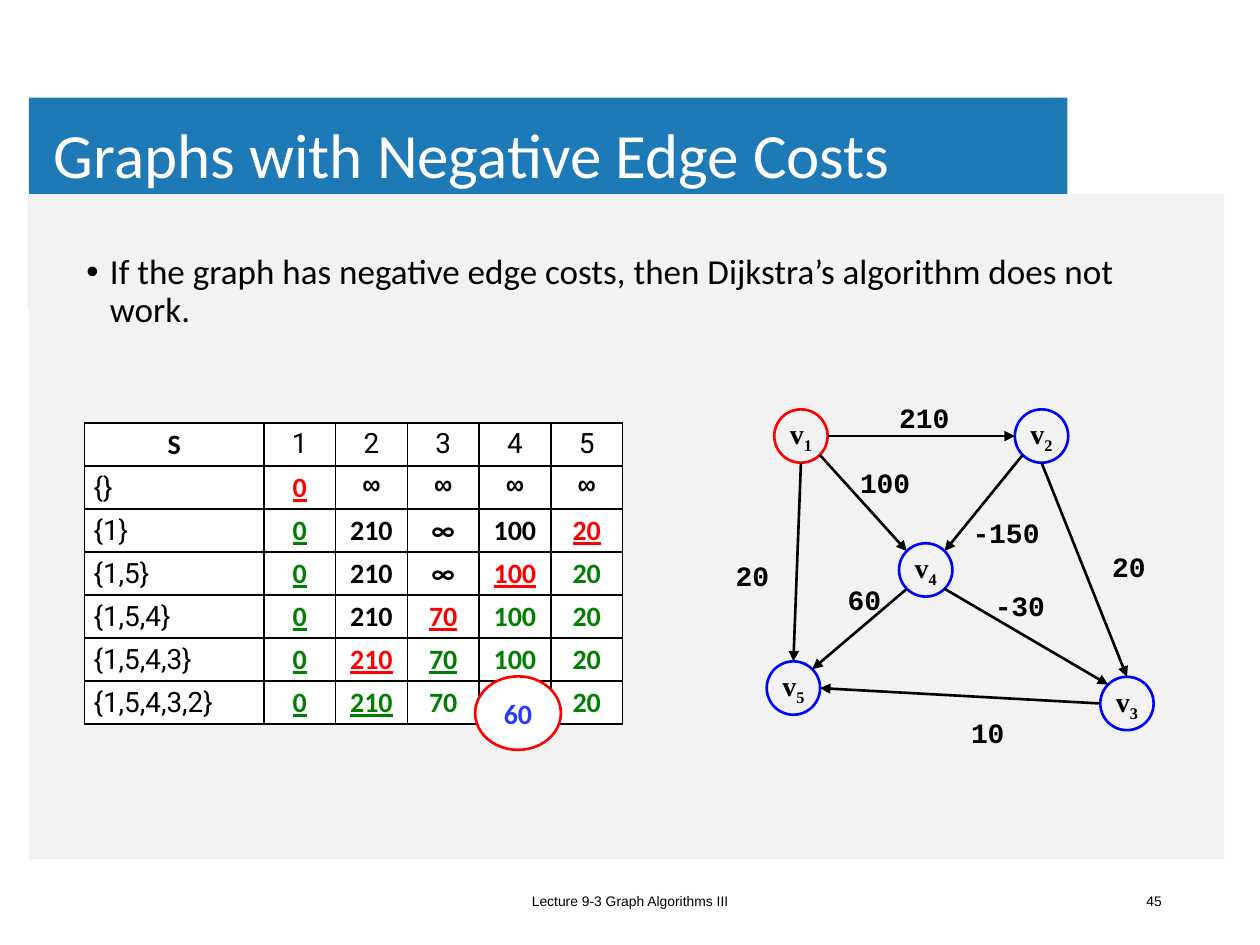
from math import cos, radians, sin

from lxml.etree import SubElement
from pptx import Presentation
from pptx.dml.color import RGBColor
from pptx.enum.shapes import MSO_CONNECTOR, MSO_SHAPE
from pptx.enum.text import MSO_ANCHOR, PP_ALIGN
from pptx.oxml.ns import qn
from pptx.util import Pt

BLACK = RGBColor(0, 0, 0)
WHITE = RGBColor(255, 255, 255)
RED = RGBColor(255, 0, 0)
GREEN = RGBColor(0, 0x80, 0)
BLUE = RGBColor(0, 0, 255)
ANSWER_BLUE = RGBColor(0x26, 0x3A, 0xF8)
BANNER_BLUE = RGBColor(0x1E, 0x7A, 0xB6)
PANEL_GREY = RGBColor(0xF2, 0xF2, 0xF2)

TITLE = "Graphs with Negative Edge Costs"
CLAIM = "If the graph has negative edge costs, then Dijkstra’s algorithm does not work."
FOOTER = "Lecture 9-3 Graph Algorithms III"
PAGE = "45"
CORRECT_COST = "60"

PANELS = [((16.5, 55.8, 593.5, 120), BANNER_BLUE), ((16.5, 111, 683, 380), PANEL_GREY)]

DIAMETER = 30.5
NODES = {
    "1": (457.7, 249.2, RED),
    "2": (595.2, 249.2, BLUE),
    "3": (644, 402, BLUE),
    "4": (529, 325.7, BLUE),
    "5": (453.4, 393.2, BLUE),
}
EDGES = [
    ("1", 0, "2", 180),
    ("2", 90, "3", 270),
    ("1", 45, "4", 225),
    ("2", 135, "4", 315),
    ("1", 90, "5", 270),
    ("4", 135, "5", 315),
    ("3", 180, "5", 0),
    ("4", 45, "3", 225),
]
COSTS = [
    ("20", 430, 328.7),
    ("100", 505.8, 275.4),
    ("210", 528.1, 238.7),
    ("20", 645.1, 323.6),
    ("-150", 574.9, 304.2),
    ("60", 494, 342.4),
    ("10", 564.5, 418.7),
    ("-30", 582.8, 346),
]

STYLES = {
    "plain": dict(name="Roboto", bold=False),
    "open": dict(),
    "infinite": dict(name="Courier New"),
    "chosen": dict(color=RED, underline=True),
    "source": dict(color=GREEN, underline=True),
    "done": dict(color=GREEN),
}
ZERO = ("0", "source")
FAR = ("∞", "infinite")
DISTANCES = [
    [("S", "open")] + [(vertex, "plain") for vertex in "12345"],
    [("{}", "plain"), ("0", "chosen"), FAR, FAR, FAR, FAR],
    [("{1}", "plain"), ZERO, ("210", "open"), ("∞", "open"), ("100", "open"), ("20", "chosen")],
    [("{1,5}", "plain"), ZERO, ("210", "open"), ("∞", "open"), ("100", "chosen"), ("20", "done")],
    [("{1,5,4}", "plain"), ZERO, ("210", "open"), ("70", "chosen"), ("100", "done"), ("20", "done")],
    [("{1,5,4,3}", "plain"), ZERO, ("210", "chosen"), ("70", "source"), ("100", "done"), ("20", "done")],
    [("{1,5,4,3,2}", "plain"), ZERO, ("210", "source"), ("70", "done"), ("100", "done"), ("20", "done")],
]
COLUMN_WIDTHS = [102.5] + [41] * 5
ROW_HEIGHT = 24.6


def lengths(values):
    return [Pt(value) for value in values]


def add_run(paragraph, words, size, name="Calibri", color=BLACK, **formats):
    run = paragraph.add_run()
    run.text = words
    for key, value in dict(size=Pt(size), name=name, **formats).items():
        setattr(run.font, key, value)
    run.font.color.rgb = color
    return run


def prepare(holder, align, anchor=MSO_ANCHOR.MIDDLE, wrap=True):
    holder.text_frame.word_wrap = wrap
    holder.text_frame.vertical_anchor = anchor
    paragraph = holder.text_frame.paragraphs[0]
    paragraph.alignment = align
    return paragraph


def add_text(slide, box, words, size, align=PP_ALIGN.LEFT, anchor=MSO_ANCHOR.MIDDLE, **formats):
    holder = slide.shapes.add_textbox(*lengths(box))
    paragraph = prepare(holder, align, anchor)
    add_run(paragraph, words, size, **formats)
    return holder, paragraph


def add_preset(slide, preset, box, fill=None, line=None):
    shape = slide.shapes.add_shape(preset, *lengths(box))
    shape.shadow.inherit = False
    if fill is None:
        shape.fill.background()
    else:
        shape.fill.solid()
        shape.fill.fore_color.rgb = fill
    if line is None:
        shape.line.fill.background()
    else:
        shape.line.color.rgb = line
        shape.line.width = Pt(1.5)
    return shape


def rim_point(node, angle):
    x, y, _ = NODES[node]
    radius = DIAMETER / 2
    return x + radius * cos(radians(angle)), y + radius * sin(radians(angle))


def add_edge(slide, start, start_angle, end, end_angle):
    ends = rim_point(start, start_angle) + rim_point(end, end_angle)
    edge = slide.shapes.add_connector(MSO_CONNECTOR.STRAIGHT, *lengths(ends))
    edge.line.color.rgb = BLACK
    edge.line.width = Pt(1.5)
    SubElement(edge.line._get_or_add_ln(), qn("a:tailEnd"), type="triangle")
    SubElement(edge._element.spPr, qn("a:effectLst"))


def add_borders(cell):
    properties = cell._tc.get_or_add_tcPr()
    for side in ("lnL", "lnR", "lnT", "lnB"):
        border = SubElement(properties, qn(f"a:{side}"), w=str(Pt(1)))
        fill = SubElement(border, qn("a:solidFill"))
        SubElement(fill, qn("a:srgbClr"), val=str(BLACK))


def add_distances(slide):
    box = 48.3, 241.7, sum(COLUMN_WIDTHS), ROW_HEIGHT * len(DISTANCES)
    table = slide.shapes.add_table(len(DISTANCES), len(COLUMN_WIDTHS), *lengths(box)).table
    table.first_row = table.horz_banding = False
    for column, width in zip(table.columns, COLUMN_WIDTHS):
        column.width = Pt(width)
    margins = dict(margin_left=5.2, margin_right=5.2, margin_top=2.6, margin_bottom=2.6)
    for r, row in enumerate(DISTANCES):
        for c, (words, style) in enumerate(row):
            cell = table.cell(r, c)
            add_borders(cell)
            cell.fill.solid()
            cell.fill.fore_color.rgb = WHITE
            for key, value in margins.items():
                setattr(cell, key, Pt(value))
            cell.vertical_anchor = MSO_ANCHOR.MIDDLE if r else MSO_ANCHOR.TOP
            paragraph = cell.text_frame.paragraphs[0]
            paragraph.alignment = PP_ALIGN.LEFT if r and not c else PP_ALIGN.CENTER
            add_run(paragraph, words, 16, **{"bold": True, **STYLES[style]})


def add_graph(slide):
    for label, (x, y, color) in NODES.items():
        box = x - DIAMETER / 2, y - DIAMETER / 2, DIAMETER, DIAMETER
        node = add_preset(slide, MSO_SHAPE.OVAL, box, line=color)
        paragraph = prepare(node, PP_ALIGN.CENTER, wrap=False)
        add_run(paragraph, "v", 16, name="Times New Roman", bold=True)
        index = add_run(paragraph, label, 16, name="Times New Roman", bold=True)
        index.font._element.set("baseline", "-25000")
    for edge in EDGES:
        add_edge(slide, *edge)
    for cost, x, y in COSTS:
        width, height = 21.6 + 10.8 * len(cost), 26.6
        add_text(slide, (x - width / 2, y - height / 2, width, height), cost, 16,
                 PP_ALIGN.CENTER, name="Courier New", bold=True)


def main():
    deck = Presentation()
    deck.slide_width, deck.slide_height = Pt(720), Pt(540)
    slide = deck.slides.add_slide(deck.slide_layouts[6])
    for box, color in PANELS:
        add_preset(slide, MSO_SHAPE.RECTANGLE, box, fill=color)
    title, heading = add_text(slide, (25.5, 55, 578, 70.5), TITLE, 36, color=WHITE)
    title.text_frame.margin_left = title.text_frame.margin_right = Pt(5.2)
    heading.line_spacing = 0.9
    add_text(slide, (238.5, 500.5, 243, 28.8), FOOTER, 7.9, PP_ALIGN.CENTER, name="Arial")
    add_text(slide, (509, 500.5, 162, 28.8), PAGE, 7.9, PP_ALIGN.RIGHT, name="Arial")
    _, bullet = add_text(slide, (42.3, 142, 632, 60), CLAIM, 20, anchor=MSO_ANCHOR.TOP)
    bullet.line_spacing = 0.9
    properties = bullet._p.get_or_add_pPr()
    properties.set("marL", str(Pt(13.5)))
    properties.set("indent", str(-Pt(13.5)))
    SubElement(properties, qn("a:buFont"), typeface="Arial")
    SubElement(properties, qn("a:buChar"), char="•")
    add_graph(slide)
    add_distances(slide)
    answer = add_preset(slide, MSO_SHAPE.OVAL, (271.5, 386.5, 49, 42), fill=WHITE, line=RED)
    add_run(prepare(answer, PP_ALIGN.CENTER), CORRECT_COST, 16, color=ANSWER_BLUE, bold=True)
    deck.save("out.pptx")


if __name__ == "__main__":
    main()
